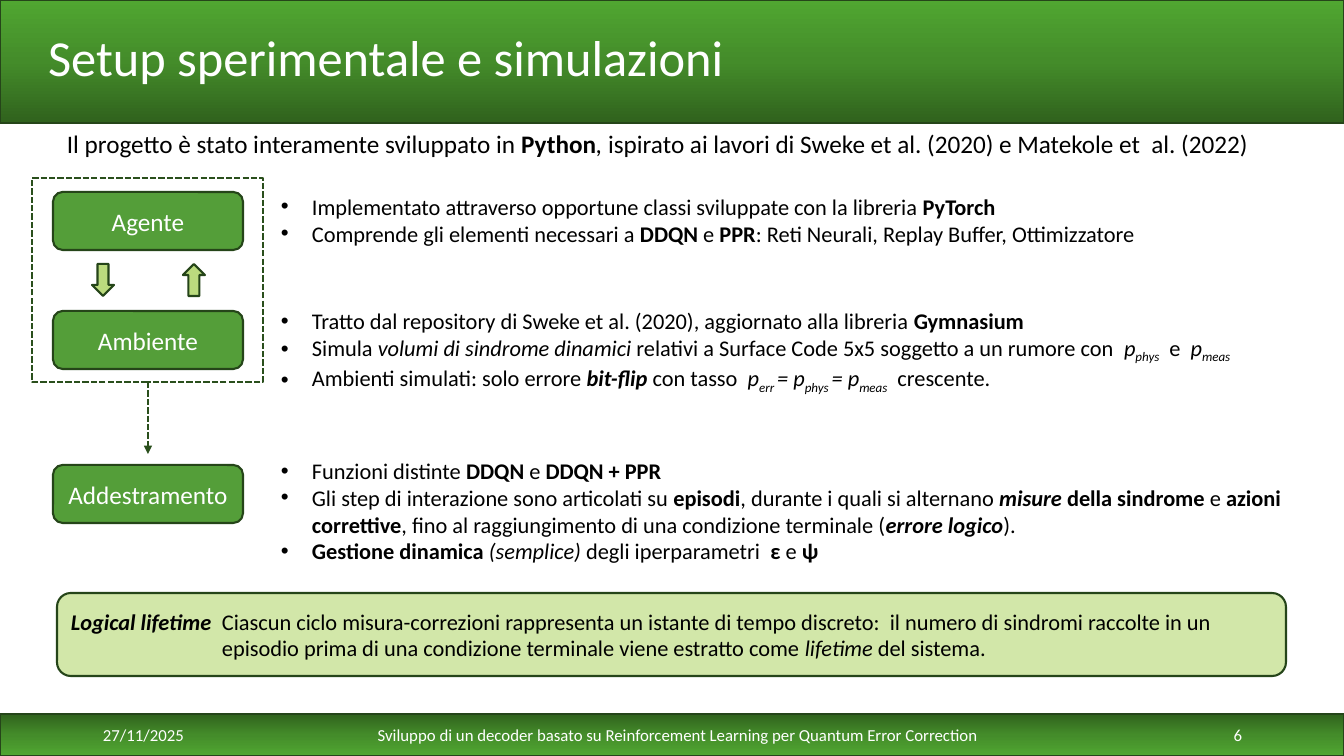
from dataclasses import dataclass

from lxml.etree import SubElement
from pptx import Presentation
from pptx.dml.color import RGBColor
from pptx.enum.dml import MSO_LINE
from pptx.enum.shapes import MSO_CONNECTOR, MSO_SHAPE
from pptx.enum.text import MSO_ANCHOR, MSO_AUTO_SIZE, PP_ALIGN
from pptx.oxml.ns import qn
from pptx.util import Emu, Pt

# Content: each paragraph is a list of (text, style) spans;
# style letters: b = bold, i = italic, s = subscript
TITLE = "Setup sperimentale e simulazioni"
INTRO = [("Il progetto è stato interamente sviluppato in ", ""), ("Python", "b"), (", ", "i"),
         ("ispirato ai lavori di Sweke et al. (2020) e Matekole et  al. (2022)", "")]
# (label, label top, bullets top, bullets height, bullets)
STAGES = [
    ("Agente", 192, 188, 95, [
        [("Implementato attraverso opportune classi sviluppate con la libreria ", ""),
         ("PyTorch", "b")],
        [("Comprende gli elementi necessari a ", ""), ("DDQN", "b"), (" e ", ""), ("PPR", "b"),
         (": Reti Neurali, Replay Buffer, Ottimizzatore", "")],
    ]),
    ("Ambiente", 311, 302, 126, [
        [("Tratto dal repository di Sweke et al. (2020), aggiornato alla libreria ", ""),
         ("Gymnasium", "b")],
        [("Simula ", ""), ("volumi di sindrome dinamici ", "i"),
         ("relativi a Surface Code 5x5 soggetto a un rumore con  ", ""),
         ("p", "i"), ("phys", "is"), ("  e  ", ""), ("p", "i"), ("meas", "is")],
        [("Ambienti simulati: solo errore ", ""), ("bit-flip", "bi"), (" con tasso  ", ""),
         ("p", "i"), ("err ", "is"), ("= p", "i"), ("phys ", "is"), ("= p", "i"),
         ("meas", "is"), ("  crescente.", "")],
    ]),
    ("Addestramento", 465, 452, 149, [
        [("Funzioni distinte ", ""), ("DDQN", "b"), (" e ", ""), ("DDQN + PPR", "b")],
        [("Gli step di interazione sono articolati su ", ""), ("episodi", "b"),
         (", durante i quali si alternano ", ""), ("misure", "bi"), (" della sindrome ", "b"),
         ("e ", ""), ("azioni correttive", "b"),
         (", fino al raggiungimento di una condizione terminale (", ""),
         ("errore logico", "bi"), (").", "")],
        [("Gestione dinamica ", "b"), ("(semplice)", "i"), (" degli iperparametri  ", ""),
         ("ε", "b"), (" e ", ""), ("ψ", "b")],
    ]),
]
LIFETIME = [("Logical lifetime\t", "bi"),
            ("Ciascun ciclo misura-correzioni rappresenta un istante di tempo discreto:  "
             "il numero di sindromi raccolte in un episodio prima di una condizione "
             "terminale viene estratto come ", ""),
            ("lifetime", "i"), (" del sistema.", "")]
# (text, left, width, alignment)
FOOTER = [
    ("27/11/2025", 93, 111, PP_ALIGN.LEFT),
    ("Sviluppo di un decoder basato su Reinforcement Learning per Quantum Error Correction",
     242, 872, PP_ALIGN.CENTER),
    ("6", 1142, 110, PP_ALIGN.RIGHT),
]


@dataclass(frozen=True)
class Theme:
    font: str = "Calibri"
    ink: str = "000000"
    white: str = "FFFFFF"
    green: str = "549E39"
    arrow: str = "BBDB7E"
    callout: str = "D2E7A9"
    outline: str = "254519"
    dashed: str = "2A4F1C"
    band: tuple = ((0, "30621D"), (50, "448C2A"), (100, "50A631"))
    title_size: int = 36
    lead_size: int = 18
    body_size: int = 16
    footer_size: int = 12
    line_width: float = 1.5


THEME = Theme()
WIDTH, HEIGHT = 1344, 756


def px(length):
    return Emu(round(length * 914400 / 100.8))


def place(*lengths):
    return [px(length) for length in lengths]


# Drawing helpers
def write(para, spans, size, color):
    for text, style in spans:
        span = para.add_run()
        span.text = text
        font = span.font
        font.name, font.size = THEME.font, Pt(size)
        font.color.rgb = RGBColor.from_string(color)
        font.bold, font.italic = "b" in style, "i" in style
        if "s" in style:
            span._r.get_or_add_rPr().set("baseline", "-25000")


def hang(para, indent):
    properties = para._p.get_or_add_pPr()
    properties.set("marL", str(px(indent)))
    properties.set("indent", str(-px(indent)))
    return properties


def add_bullet(para):
    properties = hang(para, 31)
    SubElement(properties, qn("a:buFont"), typeface="Arial")
    SubElement(properties, qn("a:buChar"), char="•")


def add_text(page, area, paragraphs, size, color=THEME.ink, align=PP_ALIGN.LEFT,
             anchor=MSO_ANCHOR.TOP, bullets=False):
    frame = page.shapes.add_textbox(*place(*area)).text_frame
    frame.word_wrap, frame.vertical_anchor = True, anchor
    for index, spans in enumerate(paragraphs):
        para = frame.add_paragraph() if index else frame.paragraphs[0]
        para.alignment = align
        if bullets:
            add_bullet(para)
        write(para, spans, size, color)


def style_line(line, color, dashed=False):
    line.color.rgb = RGBColor.from_string(color)
    line.width = Pt(THEME.line_width)
    if dashed:
        line.dash_style = MSO_LINE.SQUARE_DOT


def add_box(page, kind, area, fill=None, line=THEME.outline, dashed=False):
    box = page.shapes.add_shape(kind, *place(*area))
    box.shadow.inherit = False
    if fill:
        box.fill.solid()
        box.fill.fore_color.rgb = RGBColor.from_string(fill)
    else:
        box.fill.background()
    style_line(box.line, line, dashed)
    return box


def add_band(page, area, angle):
    box = add_box(page, MSO_SHAPE.RECTANGLE, area)
    box.fill.gradient()
    gradient = box._element.spPr.find(qn("a:gradFill"))
    stops = gradient.find(qn("a:gsLst"))
    for stop in list(stops):
        stops.remove(stop)
    for position, color in THEME.band:
        stop = SubElement(stops, qn("a:gs"), pos=str(position * 1000))
        SubElement(stop, qn("a:srgbClr"), val=color)
    gradient.find(qn("a:lin")).set("ang", str(angle * 60000))


def label_box(box, spans, size, color, align):
    frame = box.text_frame
    frame.word_wrap, frame.vertical_anchor = True, MSO_ANCHOR.MIDDLE
    para = frame.paragraphs[0]
    para.alignment = align
    write(para, spans, size, color)
    return para


def main():
    deck = Presentation()
    deck.slide_width, deck.slide_height = place(WIDTH, HEIGHT)
    page = deck.slides.add_slide(deck.slide_layouts[5])

    # Bands and title
    add_band(page, (0, 714, WIDTH, 42), 90)
    add_band(page, (0, 0, WIDTH, 123), 270)
    title = page.shapes.title
    page.shapes._spTree.append(title._element)
    title.left, title.top, title.width, title.height = place(38, 30, 1159, 60)
    title.text_frame.auto_size = MSO_AUTO_SIZE.NONE
    heading = label_box(title, [(TITLE, "")], THEME.title_size, THEME.white, PP_ALIGN.LEFT)
    heading.line_spacing = 0.9
    add_text(page, (57, 123, 1229, 72), [INTRO], THEME.lead_size)

    # Stages with their bullets
    for label, label_top, top, height, bullets in STAGES:
        box = add_box(page, MSO_SHAPE.ROUNDED_RECTANGLE, (53, label_top, 190, 58), THEME.green)
        label_box(box, [(label, "")], THEME.lead_size, THEME.white, PP_ALIGN.CENTER)
        add_text(page, (271, top, 1044, height), bullets, THEME.body_size, bullets=True)

    # Logical lifetime callout
    box = add_box(page, MSO_SHAPE.ROUNDED_RECTANGLE, (57, 593, 1229, 83), THEME.callout)
    hang(label_box(box, LIFETIME, THEME.body_size, THEME.ink, PP_ALIGN.LEFT), 151)

    # Exchange arrows, dashed group and link to training
    for left, turn in ((87, 90), (178, 270)):
        arrow = add_box(page, MSO_SHAPE.RIGHT_ARROW, (left, 269, 32, 22), THEME.arrow)
        arrow.rotation = turn
    add_box(page, MSO_SHAPE.RECTANGLE, (32, 178, 231, 204), line=THEME.dashed, dashed=True)
    link = page.shapes.add_connector(MSO_CONNECTOR.STRAIGHT, *place(148, 382, 148, 454))
    style_line(link.line, THEME.dashed, dashed=True)
    SubElement(link.line._get_or_add_ln(), qn("a:tailEnd"), type="triangle")
    SubElement(link._element.spPr, qn("a:effectLst"))

    # Footer
    for text, left, width, align in FOOTER:
        add_text(page, (left, 721, width, 28), [[(text, "")]], THEME.footer_size,
                 THEME.white, align, MSO_ANCHOR.MIDDLE)

    deck.save("out.pptx")


if __name__ == "__main__":
    main()
